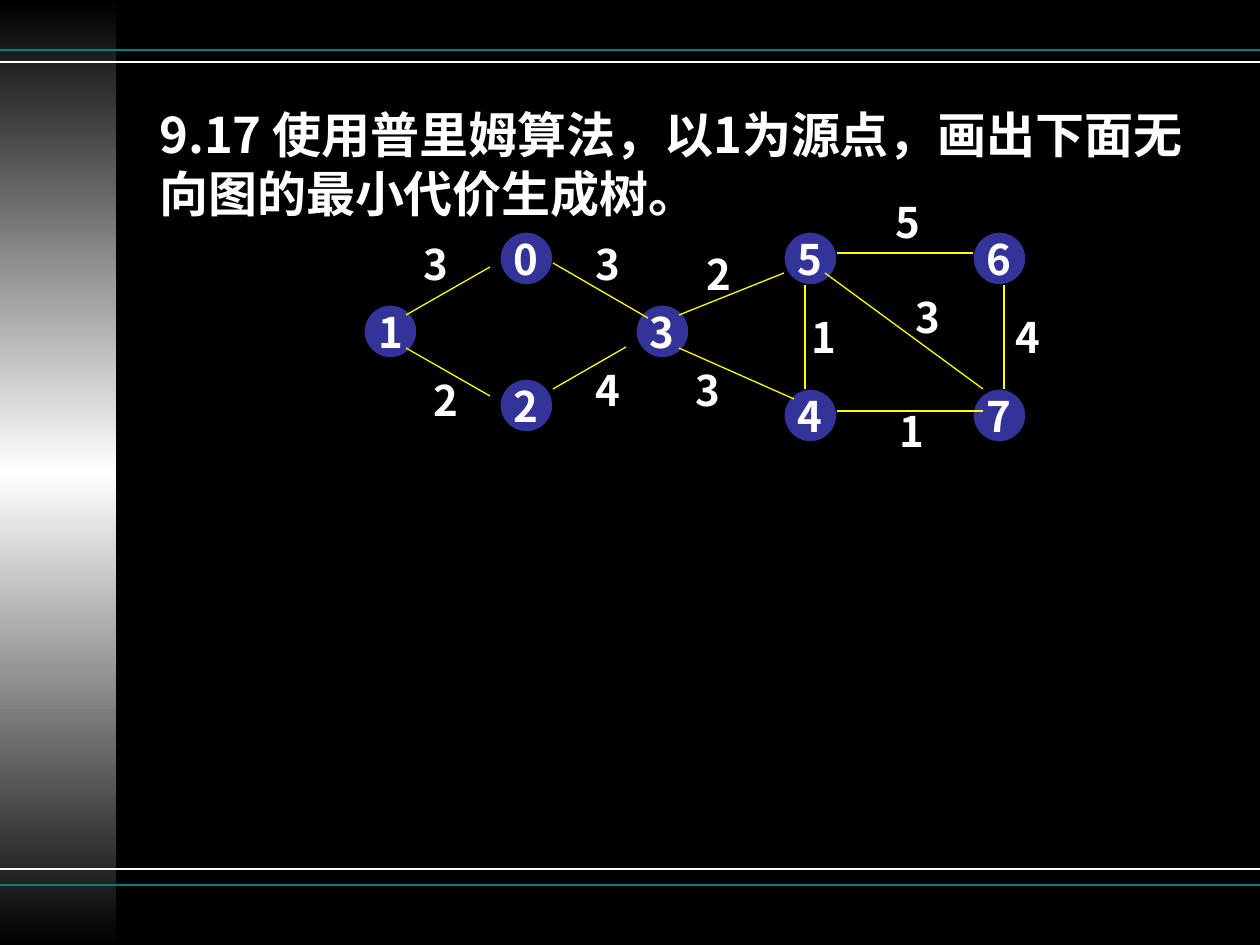
from copy import deepcopy
from dataclasses import dataclass

from lxml import etree
from pptx import Presentation
from pptx import util as u
from pptx.dml.color import RGBColor
from pptx.enum import shapes, text
from pptx.oxml.ns import qn

# Content: positions in px, 126 px to the inch
TITLE = "9.17 使用普里姆算法，以1为源点，画出下面无向图的最小代价生成树。"
NODES = {  # label: left, top
    "2": (500, 379), "1": (364, 305), "3": (636, 305), "4": (784, 389),
    "5": (784, 232), "0": (500, 232), "7": (973, 389), "6": (973, 232),
}
EDGES = [  # weight, line start, line end, weight left and top
    ("1", (805, 285), (805, 389), (799, 305)),
    ("3", (825, 273), (983, 389), (903, 285)),
    ("4", (1004, 285), (1004, 389), (1003, 305)),
    ("5", (837, 253), (973, 253), (883, 190)),
    ("1", (837, 411), (983, 411), (887, 399)),
    ("2", (679, 315), (784, 273), (694, 242)),
    ("3", (679, 348), (794, 399), (683, 358)),
    ("4", (553, 389), (626, 347), (583, 358)),
    ("3", (553, 263), (648, 318), (583, 232)),
    ("3", (406, 315), (490, 267), (411, 232)),
    ("2", (406, 348), (490, 396), (421, 368)),
]
NODE_SIZE = 53
WEIGHT_SIZE = (49, 63)
WIDTH, HEIGHT, BAND = 1260, 945, 116


@dataclass(frozen=True)
class Theme:
    font: str = "Noto Sans CJK SC"
    title: int = 28
    label: int = 24
    black: str = "000000"
    white: str = "FFFFFF"
    teal: str = "008080"
    node: str = "333399"
    edge: str = "FFFF00"


T = Theme()
RULES = [(50, T.teal), (62, T.white), (869, T.white), (885, T.teal)]


def px(n):
    return u.Emu(round(n * 914400 / 126))


def rgb(value):
    return RGBColor.from_string(value)


def write(s, words, size=T.label, align=text.PP_ALIGN.LEFT,
          anchor=text.MSO_ANCHOR.TOP, wrap=False):
    tf = s.text_frame
    tf.word_wrap = wrap
    tf.vertical_anchor = anchor
    p = tf.paragraphs[0]
    p.alignment = align
    r = p.add_run()
    r.text = words
    r.font.name = T.font
    r.font.size = u.Pt(size)
    r.font.bold = True
    r.font.color.rgb = rgb(T.white)
    ea = etree.SubElement(r.font._element, qn("a:ea"))
    ea.set("typeface", T.font)


def add_line(parent, start, end, color, width):
    c = parent.add_connector(shapes.MSO_CONNECTOR.STRAIGHT,
                             *map(px, start + end))
    c.line.color.rgb = rgb(color)
    c.line.width = u.Pt(width)
    etree.SubElement(c._element.spPr, qn("a:effectLst"))


def add_shape(parent, kind, *box):
    s = parent.add_shape(kind, *map(px, box))
    s.shadow.inherit = False
    return s


prs = Presentation()
prs.slide_width, prs.slide_height = px(WIDTH), px(HEIGHT)
slide = prs.slides.add_slide(prs.slide_layouts[6])
slide.background.fill.solid()
slide.background.fill.fore_color.rgb = rgb(T.black)

# Side band and rules
frame = slide.shapes.add_group_shape().shapes
band = add_shape(frame, shapes.MSO_SHAPE.RECTANGLE, 0, 0, BAND, HEIGHT)
band.line.fill.background()
band.fill.gradient()
band.fill.gradient_angle = 90
stops = band._element.spPr.find(".//" + qn("a:gsLst"))
stops.append(deepcopy(stops[-1]))
for stop, place, color in zip(band.fill.gradient_stops, (0, 0.5, 1),
                              (T.black, T.white, T.black)):
    stop.position = place
    stop.color.rgb = rgb(color)
for y, color in RULES:
    add_line(frame, (0, y), (WIDTH, y), color, 1)

# Question
title = slide.shapes.add_textbox(*map(px, (147, 84, 1071, 158)))
write(title, TITLE, size=T.title, anchor=text.MSO_ANCHOR.MIDDLE, wrap=True)

# Graph: nodes, then edges, then weights
graph = slide.shapes.add_group_shape().shapes
for label, corner in NODES.items():
    s = add_shape(graph, shapes.MSO_SHAPE.OVAL, *corner, NODE_SIZE, NODE_SIZE)
    s.fill.solid()
    s.fill.fore_color.rgb = rgb(T.node)
    s.line.color.rgb = rgb(T.black)
    s.line.width = u.Pt(0.75)
    write(s, label, align=text.PP_ALIGN.CENTER, anchor=text.MSO_ANCHOR.MIDDLE)
for _, start, end, _ in EDGES:
    add_line(graph, start, end, T.edge, 0.75)
for weight, _, _, corner in EDGES:
    write(graph.add_textbox(*map(px, corner + WEIGHT_SIZE)), weight)

prs.save("out.pptx")
